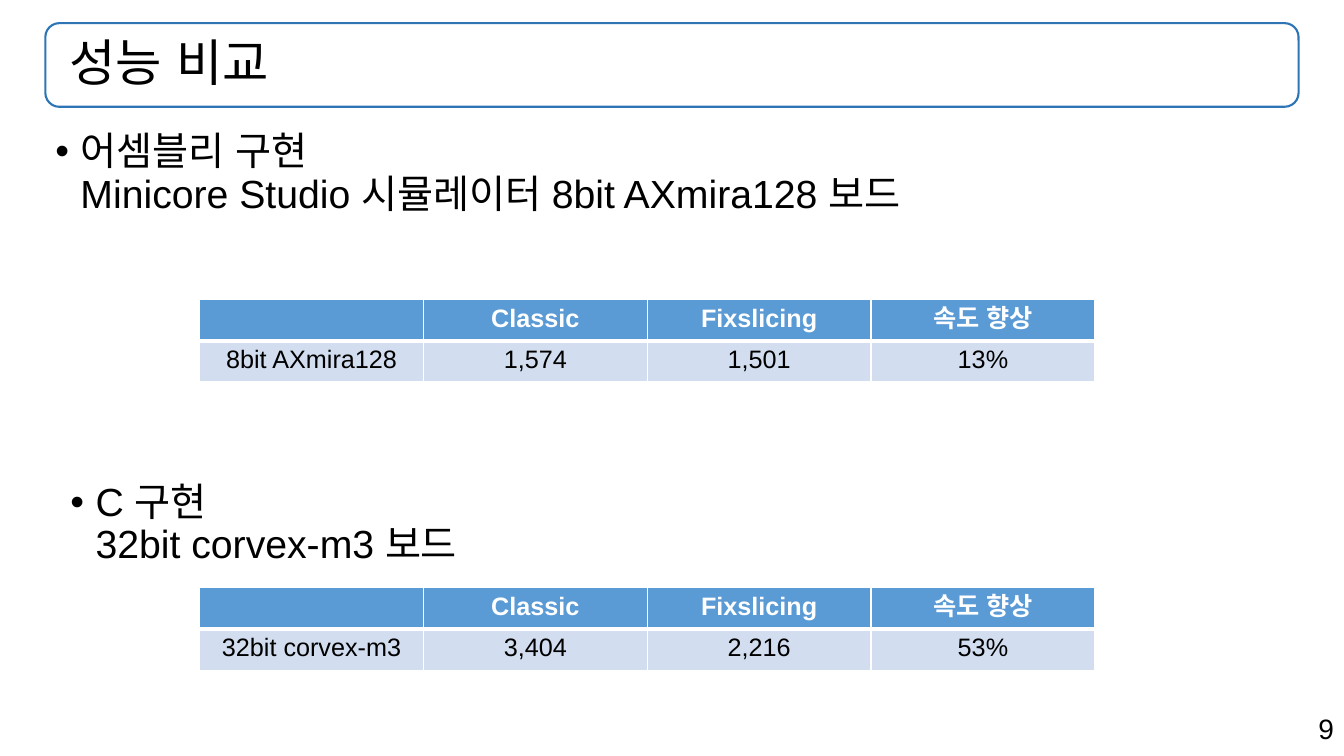
from lxml import etree
from pptx import Presentation
from pptx import util as u
from pptx.dml.color import RGBColor
from pptx.enum import shapes, text
from pptx.oxml.ns import qn

TITLE = "성능 비교"
PAGE = "9"
HEAD = ["", "Classic", "Fixslicing", "속도 향상"]
NOTES = [
    (0.45, 1.26, ["어셈블리 구현", "Minicore Studio 시뮬레이터 8bit AXmira128 보드"]),
    (0.6, 4.74, ["C 구현", "32bit corvex-m3 보드"]),
]
TABLES = [
    (2.97, ["8bit AXmira128", "1,574", "1,501", "13%"]),
    (5.83, ["32bit corvex-m3", "3,404", "2,216", "53%"]),
]
HEX = {"ink": "000000", "white": "FFFFFF", "edge": "2E75B6",
       "head": "5B9BD5", "row": "D2DEEF"}
FONT = "Arial"
WIDE, HIGH = 13.33, 7.5
BAR = (0.45, 0.23, 12.43, 0.83)
GRID_X, COL, ROW = 1.98, 2.22, 0.41

deck = Presentation()
deck.slide_width, deck.slide_height = u.Inches(WIDE), u.Inches(HIGH)
slide = deck.slides.add_slide(deck.slide_layouts[6])


def hue(name):
    return RGBColor.from_string(HEX[name])


def inches(box):
    return [u.Inches(n) for n in box]


def add_run(para, words, size, ink="ink", bold=False):
    run = para.add_run()
    run.text = words
    font = run.font
    font.name, font.size, font.bold = FONT, u.Pt(size), bold
    font.color.rgb = hue(ink)
    etree.SubElement(run._r.rPr, qn("a:ea"), typeface=FONT)


def add_box(box, anchor=text.MSO_ANCHOR.TOP):
    frame = slide.shapes.add_textbox(*inches(box)).text_frame
    frame.word_wrap = True
    frame.vertical_anchor = anchor
    return frame


def add_note(left, top, lines):
    para = add_box((left, top, BAR[2], 2)).paragraphs[0]
    props = para._p.get_or_add_pPr()
    step = u.Inches(0.25)
    props.set("marL", str(step))
    props.set("indent", str(-step))
    etree.SubElement(props, qn("a:buFont"), typeface=FONT)
    etree.SubElement(props, qn("a:buChar"), char="•")
    para.line_spacing = 0.9
    for i, line in enumerate(lines):
        if i:
            para.add_line_break()
        add_run(para, line, 28)


def add_edges(cell, head):
    props = cell._tc.get_or_add_tcPr()
    for i, side in enumerate(("lnL", "lnR", "lnT", "lnB")):
        width = 3 if (side, head) in (("lnB", True), ("lnT", False)) else 1
        line = etree.Element(qn(f"a:{side}"), w=str(u.Pt(width)))
        fill = etree.SubElement(line, qn("a:solidFill"))
        etree.SubElement(fill, qn("a:srgbClr"), val=HEX["white"])
        props.insert(i, line)


def add_grid(top, row):
    rows = [HEAD, row]
    size = (COL * len(HEAD), ROW * len(rows))
    grid = slide.shapes.add_table(len(rows), len(HEAD),
                                  *inches((GRID_X, top, *size))).table
    for r, line in enumerate(rows):
        head = r == 0
        for c, words in enumerate(line):
            cell = grid.cell(r, c)
            cell.fill.solid()
            cell.fill.fore_color.rgb = hue("head" if head else "row")
            add_edges(cell, head)
            para = cell.text_frame.paragraphs[0]
            para.alignment = text.PP_ALIGN.CENTER
            if words:
                add_run(para, words, 18, "white" if head else "ink", head)


bar = slide.shapes.add_shape(shapes.MSO_SHAPE.ROUNDED_RECTANGLE, *inches(BAR))
bar.shadow.inherit = False
bar.fill.background()
bar.line.color.rgb = hue("edge")
bar.line.width = u.Pt(1.5)

title = add_box(BAR, text.MSO_ANCHOR.MIDDLE)
title.margin_left = u.Inches(0.24)
title.paragraphs[0].line_spacing = 0.9
add_run(title.paragraphs[0], TITLE, 36)

for note in NOTES:
    add_note(*note)
for table in TABLES:
    add_grid(*table)

page = add_box((WIDE - 3.9, 7.01, 3.9, 0.44)).paragraphs[0]
page.alignment = text.PP_ALIGN.RIGHT
add_run(page, PAGE, 20)

deck.save("out.pptx")
